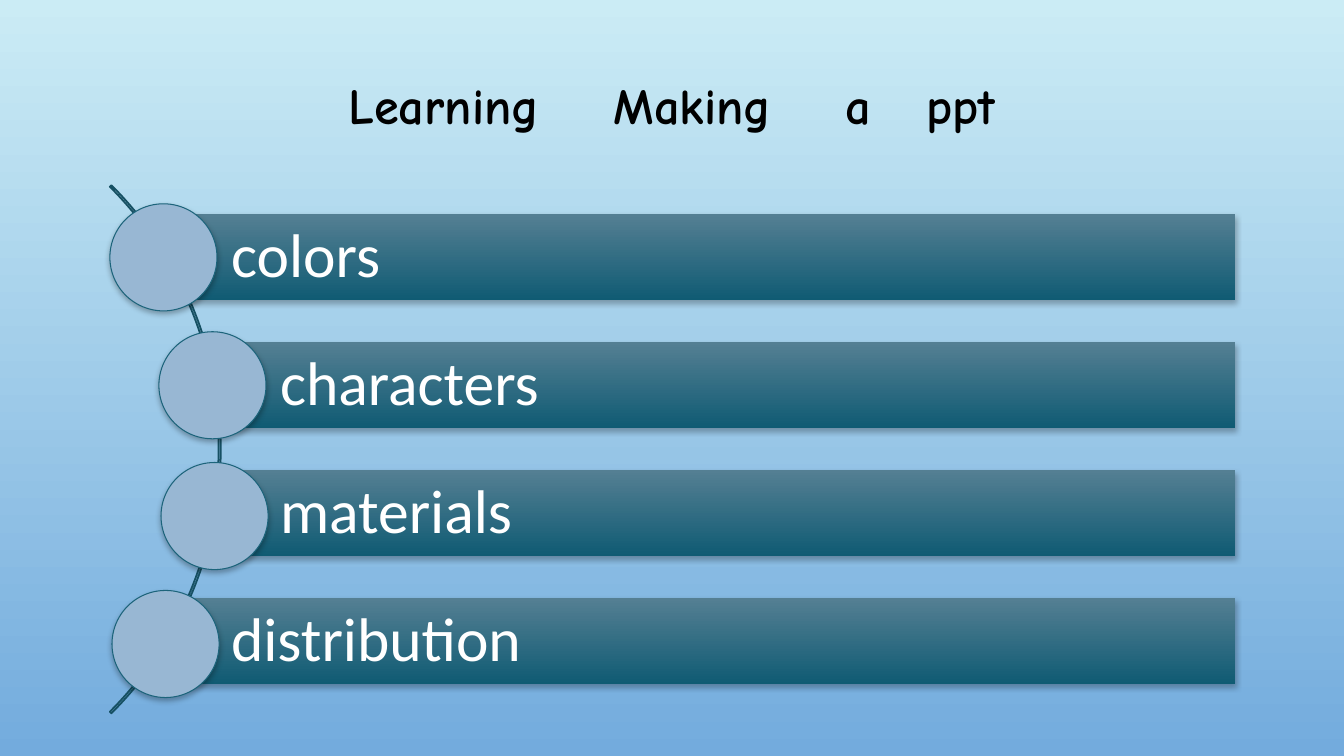
from lxml.etree import SubElement
from pptx import Presentation
from pptx.dml.color import RGBColor
from pptx.enum.shapes import MSO_SHAPE as SHAPE
from pptx.enum.text import MSO_ANCHOR as ANCHOR, PP_ALIGN as ALIGN
from pptx.oxml.ns import qn
from pptx.util import Pt

TITLE = [("Learning", 40), ("Making", 40), ("a", 27), ("ppt", 0)]
TOPICS = ["colors", "characters", "materials", "distribution"]


def rgb(value):
    """Return the colour for a hex string."""
    return RGBColor.from_string(value)


def set_gradient(fill, top, bottom):
    """Fill from top to bottom with two colours."""
    fill.gradient()
    fill.gradient_angle = 270
    for stop, value in zip(fill.gradient_stops, (top, bottom)):
        stop.color.rgb = rgb(value)


def set_font(p, name, size, color, bold=False):
    """Set the font of a whole paragraph."""
    f = p.font
    f.name, f.size, f.bold = name, Pt(size), bold
    f.color.rgb = rgb(color)


def add_shadow(sp):
    """Give a shape a soft shadow below it."""
    sp.shadow.inherit = False
    effects = sp._element.spPr.find(qn("a:effectLst"))
    shadow = SubElement(effects, qn("a:outerShdw"), blurRad=str(Pt(4)),
                        dist=str(Pt(2)), dir="5400000", rotWithShape="0")
    color = SubElement(shadow, qn("a:srgbClr"), val="000000")
    SubElement(color, qn("a:alpha"), val="28000")


def add_shape(s, kind, x, y, w, h):
    """Add a preset shape, with lengths in points."""
    return s.shapes.add_shape(kind, Pt(x), Pt(y), Pt(w), Pt(h))


def add_title(s, x, y, w, h):
    """Set the title words with widened gaps between them."""
    sp = s.shapes.title
    sp.left, sp.top, sp.width, sp.height = Pt(x), Pt(y), Pt(w), Pt(h)
    tf = sp.text_frame
    tf.vertical_anchor = ANCHOR.MIDDLE
    p = tf.paragraphs[0]
    p.alignment, p.line_spacing = ALIGN.CENTER, 0.9
    set_font(p, "Comic Neue", 36, "000000", True)
    for word, gap in TITLE:
        p.add_run().text = word
        if gap:
            r = p.add_run()
            r.text = " "
            r._r.get_or_add_rPr().set("spc", str(gap * 100))


def add_arc(s, x, y, size):
    """Draw the thin curve that links the topics."""
    sp = add_shape(s, SHAPE.BLOCK_ARC, x, y, size, size)
    for i, value in enumerate((189, 27, 0.003)):
        sp.adjustments[i] = value
    sp.shadow.inherit = False
    sp.fill.background()
    sp.line.color.rgb = rgb("165063")
    sp.line.width = Pt(1.25)


def add_bar(s, text, x, y, w, h):
    """Draw one topic bar with its label."""
    sp = add_shape(s, SHAPE.RECTANGLE, x, y, w, h)
    set_gradient(sp.fill, "547F93", "105B73")
    sp.line.fill.background()
    add_shadow(sp)
    tf = sp.text_frame
    tf.word_wrap = True
    tf.vertical_anchor = ANCHOR.MIDDLE
    tf.margin_left = Pt(48.3)
    tf.margin_top = tf.margin_right = tf.margin_bottom = Pt(8.6)
    p = tf.paragraphs[0]
    p.text = text
    p.alignment, p.line_spacing = ALIGN.LEFT, 0.9
    set_font(p, "Calibri", 44, "FFFFFF")


def add_circle(s, x, y, size):
    """Draw the disc at the start of a bar."""
    sp = add_shape(s, SHAPE.OVAL, x, y, size, size)
    sp.fill.solid()
    sp.fill.fore_color.rgb = rgb("98B7D3")
    sp.line.color.rgb = rgb("1C647B")
    sp.line.width = Pt(0.75)
    add_shadow(sp)


def add_topics(s, x, y, w, h):
    """Place the curved list of topics in the given box."""
    bar, disc = 61.2, 76.5
    pitch = (h - bar) / (len(TOPICS) - 1)
    arc = 533.5
    add_arc(s, x + 79.2 - arc, y + h / 2 - arc / 2, arc)
    for i, text in enumerate(TOPICS):
        indent = 35 if 0 < i < len(TOPICS) - 1 else 0
        lower = i >= len(TOPICS) / 2
        top = y + i * pitch
        left = x + disc / 2 + indent
        add_bar(s, text, left, top, x + w - left, bar)
        add_circle(s, x + indent + (1.5 if lower else 0),
                   top + (bar - disc) / 2 + (2 if lower else 0), disc)


def main():
    """Build the slide and save it."""
    prs = Presentation()
    prs.slide_width, prs.slide_height = Pt(960), Pt(540)
    s = prs.slides.add_slide(prs.slide_layouts[5])
    set_gradient(s.background.fill, "CBECF5", "73ABDD")
    add_title(s, 72, 14.4, 816, 126)
    add_topics(s, 78.5, 153.2, 804, 335.4)
    prs.save("out.pptx")


if __name__ == "__main__":
    main()
